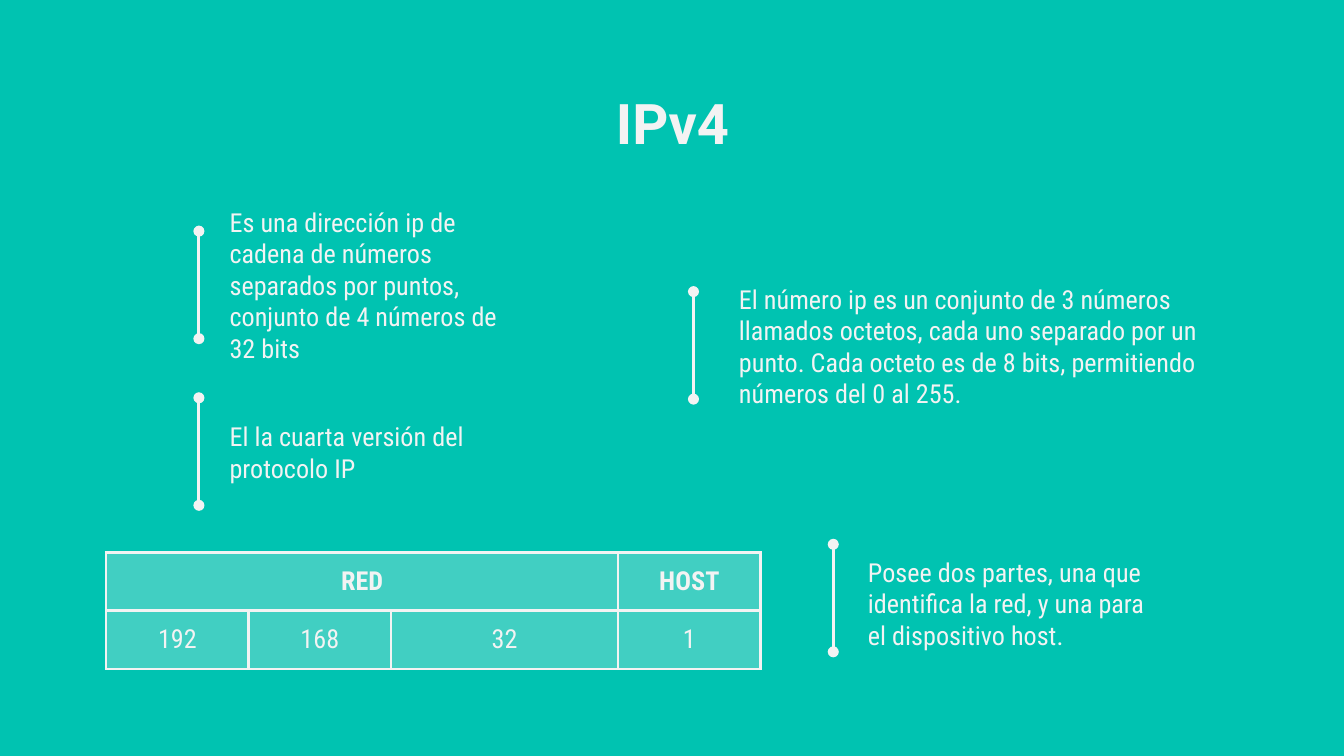
from lxml import etree
from pptx import Presentation
from pptx import util as u
from pptx.dml.color import RGBColor
from pptx.enum import shapes, text
from pptx.oxml import ns

TEAL = RGBColor(0x00, 0xC3, 0xB1)
PALE = RGBColor(0xF3, 0xF3, 0xF3)
BODY_FONT = "Roboto Condensed"

presentation = Presentation()
presentation.slide_width = u.Inches(10)
presentation.slide_height = presentation.slide_width * 9 // 16
unit = presentation.slide_width // 100  # square grid, 100 columns wide


def grid(*steps):
    return [round(step * unit) for step in steps]


def style(paragraph, size, font_name, bold=False):
    paragraph.font.size = u.Pt(size)
    paragraph.font.name = font_name
    paragraph.font.bold = bold
    paragraph.font.color.rgb = PALE


slide = presentation.slides.add_slide(presentation.slide_layouts[5])
slide.background.fill.solid()
slide.background.fill.fore_color.rgb = TEAL

# Title
title = slide.shapes.title
title.left, title.top, title.width, title.height = grid(7.9, 5.6, 84.3, 6.3)
frame = title.text_frame
frame.text = "IPv4"
frame.auto_size = text.MSO_AUTO_SIZE.NONE
frame.vertical_anchor = text.MSO_ANCHOR.TOP
frame.margin_left = frame.margin_right = frame.margin_top = frame.margin_bottom = unit
frame.paragraphs[0].alignment = text.PP_ALIGN.CENTER
style(frame.paragraphs[0], 30, "Roboto", bold=True)

# Notes, each with a vertical marker: box, marker column and marker top
notes = [
    ("Es una dirección ip de cadena de números separados por puntos, "
     "conjunto de 4 números de 32 bits", (16.1, 15.3, 24.2, 11.8), 14.8, 17.2),
    ("El número ip es un conjunto de 3 números llamados octetos, cada uno "
     "separado por un punto. Cada octeto es de 8 bits, permitiendo números "
     "del 0 al 255.", (54, 17.5, 36.2, 16.5), 51.6, 21.7),
    ("El la cuarta versión del protocolo IP",
     (16.1, 29.8, 24.2, 7.7), 14.8, 29.6),
    ("Posee dos partes, una que identifica la red, y una para el "
     "dispositivo host.", (63.6, 40.4, 24.2, 9), 62, 40.5),
]
MARKER_ROWS = 8
for wording, box, column, top in notes:
    frame = slide.shapes.add_textbox(*grid(*box)).text_frame
    frame.word_wrap = True
    frame.vertical_anchor = text.MSO_ANCHOR.MIDDLE
    frame.margin_left = frame.margin_right = frame.margin_top = frame.margin_bottom = unit
    frame.text = wording
    style(frame.paragraphs[0], 14, BODY_FONT)

    marker = slide.shapes.add_connector(
        shapes.MSO_CONNECTOR.STRAIGHT, *grid(column, top, column, top + MARKER_ROWS))
    marker.line.color.rgb = PALE
    marker.line.width = u.Pt(1.5)
    line = marker.line._get_or_add_ln()
    for end in ("a:headEnd", "a:tailEnd"):
        etree.SubElement(line, ns.qn(end), type="oval")
    etree.SubElement(marker._element.spPr, ns.qn("a:effectLst"))

# Address table
columns = grid(10.6, 10.6, 16.9, 10.6)
rows = [["RED", "", "", "HOST"], ["192", "168", "32", "1"]]
row_height = round(4.3 * unit)
table = slide.shapes.add_table(
    len(rows), len(columns), *grid(7.9, 41.1), sum(columns), row_height * len(rows)).table
table.first_row = table.horz_banding = False
for index, width in enumerate(columns):
    table.columns[index].width = width
table.cell(0, 0).merge(table.cell(0, 2))

for row_index, row in enumerate(rows):
    table.rows[row_index].height = row_height
    for column_index, wording in enumerate(row):
        cell = table.cell(row_index, column_index)
        cell.text = wording
        cell.vertical_anchor = text.MSO_ANCHOR.MIDDLE
        cell.margin_left = cell.margin_right = cell.margin_top = cell.margin_bottom = unit
        paragraph = cell.text_frame.paragraphs[0]
        paragraph.alignment = text.PP_ALIGN.CENTER
        style(paragraph, 14, BODY_FONT, bold=row_index == 0)

        # Translucent fill and solid borders
        cell.fill.solid()
        cell.fill.fore_color.rgb = PALE
        properties = cell._tc.get_or_add_tcPr()
        color = properties.find(".//" + ns.qn("a:srgbClr"))
        etree.SubElement(color, ns.qn("a:alpha"), val="27000")
        for position, side in enumerate(("a:lnL", "a:lnR", "a:lnT", "a:lnB")):
            border = etree.Element(ns.qn(side), w=str(u.Pt(1.5)))
            fill = etree.SubElement(border, ns.qn("a:solidFill"))
            etree.SubElement(fill, ns.qn("a:srgbClr"), val=str(PALE))
            properties.insert(position, border)

presentation.save("out.pptx")
